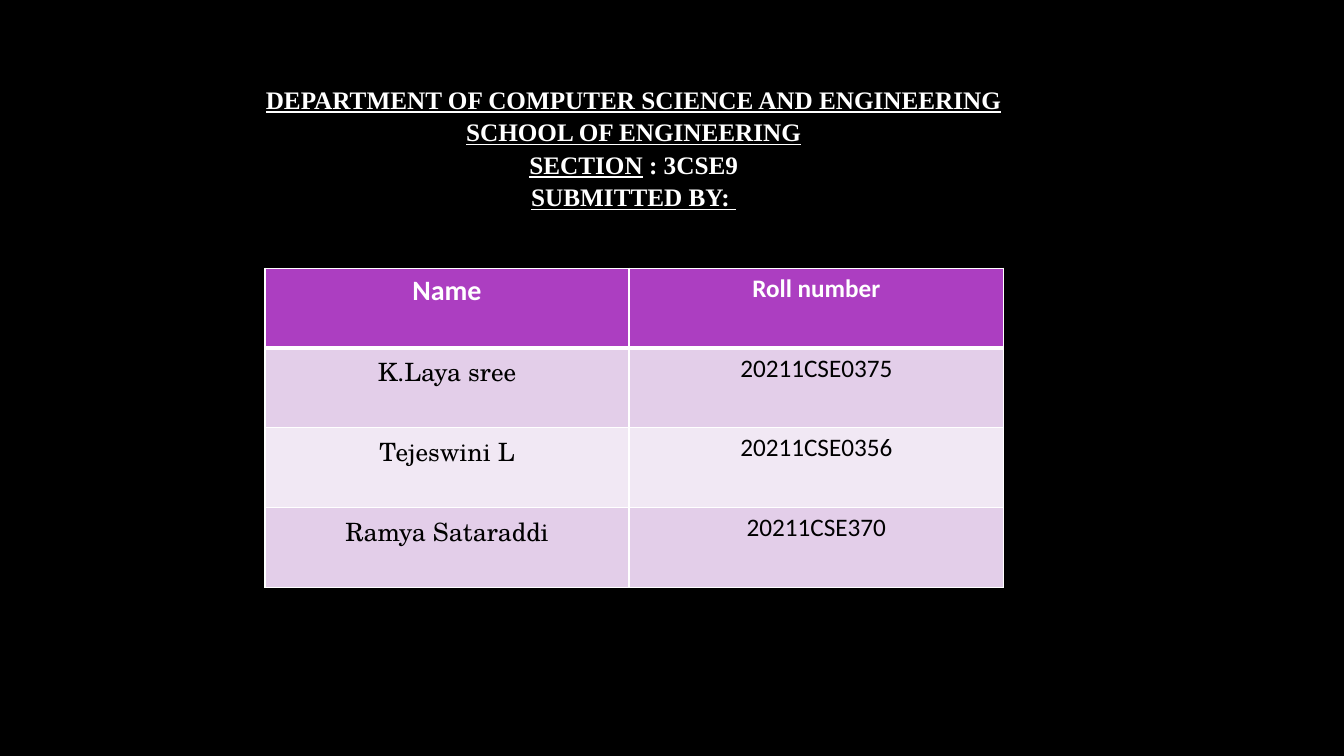
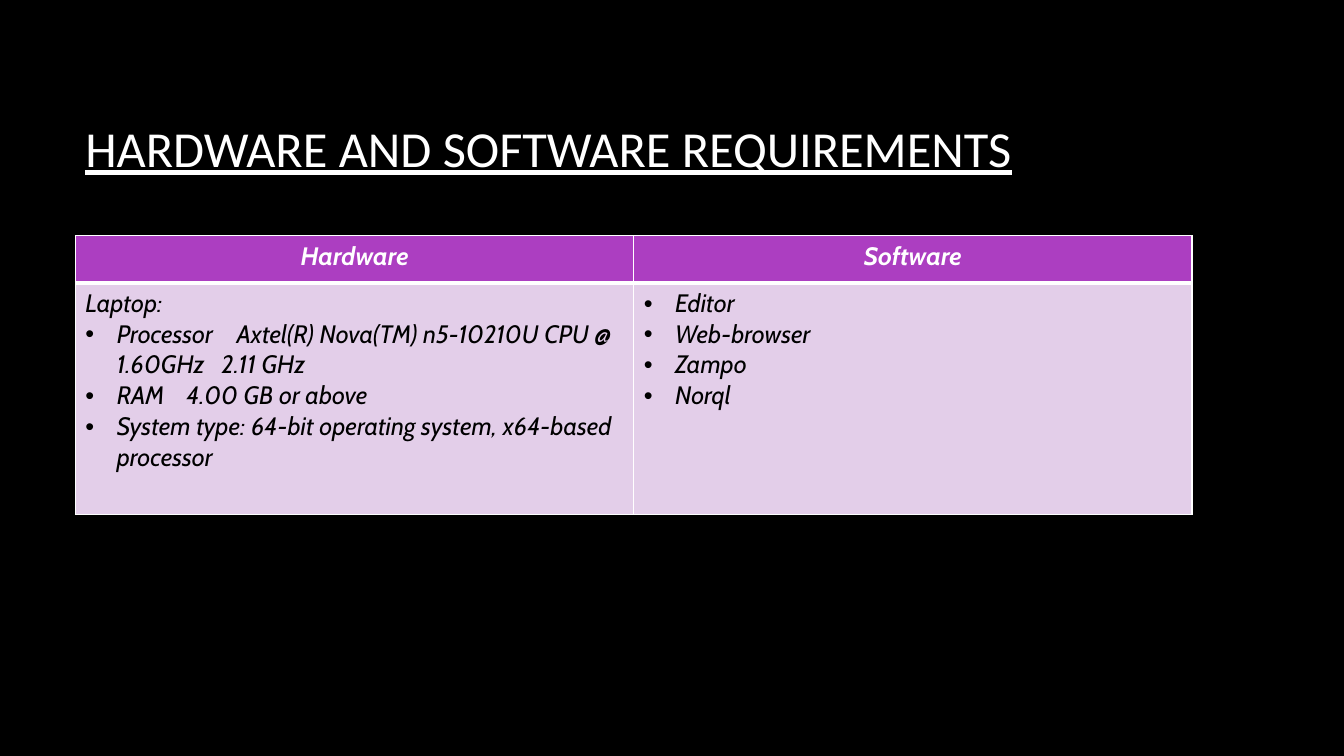
from dataclasses import dataclass

from lxml import etree
from pptx import Presentation
from pptx.dml.color import RGBColor
from pptx.enum.text import MSO_ANCHOR, PP_ALIGN
from pptx.oxml.ns import qn
from pptx.util import Cm, Pt

CENTER, LEFT = PP_ALIGN.CENTER, PP_ALIGN.LEFT
TOP, MIDDLE = MSO_ANCHOR.TOP, MSO_ANCHOR.MIDDLE

# Content: a line is a list of (text, underlined) runs
DEPARTMENT_LINES = [
    [("DEPARTMENT OF COMPUTER SCIENCE AND ENGINEERING", True)],
    [("SCHOOL OF ENGINEERING", True)],
    [("SECTION", True), (" : 3CSE9", False)],
    [("SUBMITTED BY: ", True)],
]
STUDENT_HEADINGS = ["Name", "Roll number"]
STUDENTS = [
    ("K.Laya sree", "20211CSE0375"),
    ("Tejeswini L", "20211CSE0356"),
    ("Ramya Sataraddi", "20211CSE370"),
]
REQUIREMENTS_TITLE = "HARDWARE AND SOFTWARE REQUIREMENTS"
# Each column: heading, plain lead line, bulleted items
REQUIREMENTS = [
    ("Hardware", "Laptop:", [
        "Processor\tAxtel(R) Nova(TM) n5-10210U CPU @ 1.60GHz   2.11 GHz",
        "RAM\t4.00 GB or above",
        "System type: 64-bit operating system, x64-based processor",
    ]),
    ("Software", None, ["Editor", "Web-browser", "Zampo", "Norql"]),
]


@dataclass(frozen=True)
class Theme:
    background: str = "000000"
    light: str = "FFFFFF"
    dark: str = "000000"
    header: str = "AC3EC1"
    bands: tuple = ("E3CEE9", "F1E8F4")
    sans: str = "Calibri"
    serif: str = "Times New Roman"
    names: str = "TeX Gyre Schola"
    italic: str = "Cabin"
    title: float = 36
    heading: float = 20
    body: float = 18
    department_pitch: float = 23.2
    border: float = 1
    header_rule: float = 3


THEME = Theme()
MARGIN, CONTENT_WIDTH = Cm(1.9), Cm(28.14)
BULLET_INDENT = Cm(0.79)


# Text
def add_run(paragraph, text, font, size, color, bold=False, italic=False,
            underline=False):
    run = paragraph.add_run()
    run.text = text
    style = run.font
    style.name, style.size = font, Pt(size)
    style.color.rgb = RGBColor.from_string(color)
    style.bold, style.italic, style.underline = bold, italic, underline


def next_paragraph(frame, index, align=LEFT):
    paragraph = frame.add_paragraph() if index else frame.paragraphs[0]
    paragraph.alignment = align
    return paragraph


def add_title_frame(slide, top, height, anchor):
    frame = slide.shapes.add_textbox(MARGIN, top, CONTENT_WIDTH, height).text_frame
    frame.word_wrap = True
    frame.vertical_anchor = anchor
    frame.margin_top = frame.margin_bottom = 0
    return frame


def set_bullet(paragraph):
    props = paragraph._p.get_or_add_pPr()
    props.set("marL", str(BULLET_INDENT))
    props.set("indent", str(-BULLET_INDENT))
    etree.SubElement(props, qn("a:buFont")).set("typeface", "Arial")
    etree.SubElement(props, qn("a:buChar")).set("char", "•")


# Tables
def set_borders(cell, row):
    widths = {
        "L": THEME.border,
        "R": THEME.border,
        "T": THEME.header_rule if row == 1 else THEME.border,
        "B": THEME.header_rule if row == 0 else THEME.border,
    }
    props = cell._tc.get_or_add_tcPr()
    for position, (side, width) in enumerate(widths.items()):
        line = etree.Element(qn(f"a:ln{side}"), w=str(Pt(width)))
        fill = etree.SubElement(line, qn("a:solidFill"))
        etree.SubElement(fill, qn("a:srgbClr")).set("val", THEME.light)
        props.insert(position, line)


def add_styled_table(slide, left, top, widths, heights):
    table = slide.shapes.add_table(len(heights), len(widths), left, top,
                                   sum(widths), sum(heights)).table
    table.horz_banding = False
    for column, width in zip(table.columns, widths):
        column.width = width
    for row, height in enumerate(heights):
        table.rows[row].height = height
        color = THEME.bands[(row - 1) % 2] if row else THEME.header
        for cell in table.rows[row].cells:
            cell.fill.solid()
            cell.fill.fore_color.rgb = RGBColor.from_string(color)
            set_borders(cell, row)
    return table


def write_centered(cell, text, *style, **options):
    add_run(next_paragraph(cell.text_frame, 0, CENTER), text, *style, **options)


# Slides
def build_team_slide(slide):
    frame = add_title_frame(slide, Cm(2.06), Cm(3.4), TOP)
    for index, runs in enumerate(DEPARTMENT_LINES):
        line = next_paragraph(frame, index, CENTER)
        line.line_spacing = Pt(THEME.department_pitch)
        for text, underlined in runs:
            add_run(line, text, THEME.serif, THEME.body, THEME.light,
                    bold=True, underline=underlined)

    table = add_styled_table(slide, Cm(6.68), Cm(6.76), [Cm(9.17), Cm(9.45)],
                             [Cm(2.01)] * (len(STUDENTS) + 1))
    heading_sizes = (THEME.heading, THEME.body)
    for column, (text, size) in enumerate(zip(STUDENT_HEADINGS, heading_sizes)):
        write_centered(table.cell(0, column), text, THEME.sans, size,
                       THEME.light, bold=True)
    for row, student in enumerate(STUDENTS, start=1):
        for column, (text, font) in enumerate(zip(student, (THEME.names, THEME.sans))):
            write_centered(table.cell(row, column), text, font, THEME.body, THEME.dark)


def build_requirements_slide(slide):
    frame = add_title_frame(slide, Cm(1.7), Cm(4.04), MIDDLE)
    add_run(next_paragraph(frame, 0), REQUIREMENTS_TITLE, THEME.sans, THEME.title,
            THEME.light, underline=True)

    column_width = CONTENT_WIDTH // len(REQUIREMENTS)
    table = add_styled_table(slide, MARGIN, Cm(5.94),
                             [column_width] * len(REQUIREMENTS),
                             [Cm(1.19), Cm(5.84)])
    for column, (heading, lead, items) in enumerate(REQUIREMENTS):
        write_centered(table.cell(0, column), heading, THEME.italic, THEME.body,
                       THEME.light, bold=True, italic=True)
        lines = ([(lead, False)] if lead else []) + [(item, True) for item in items]
        for index, (text, bulleted) in enumerate(lines):
            line = next_paragraph(table.cell(1, column).text_frame, index)
            if bulleted:
                set_bullet(line)
            add_run(line, text, THEME.italic, THEME.body, THEME.dark, italic=True)


def main():
    deck = Presentation()
    deck.slide_width, deck.slide_height = Cm(33.87), Cm(19.05)
    backdrop = deck.slide_master.background.fill
    backdrop.solid()
    backdrop.fore_color.rgb = RGBColor.from_string(THEME.background)
    blank = deck.slide_layouts[6]
    for build in (build_team_slide, build_requirements_slide):
        build(deck.slides.add_slide(blank))
    deck.save("out.pptx")


if __name__ == "__main__":
    main()
